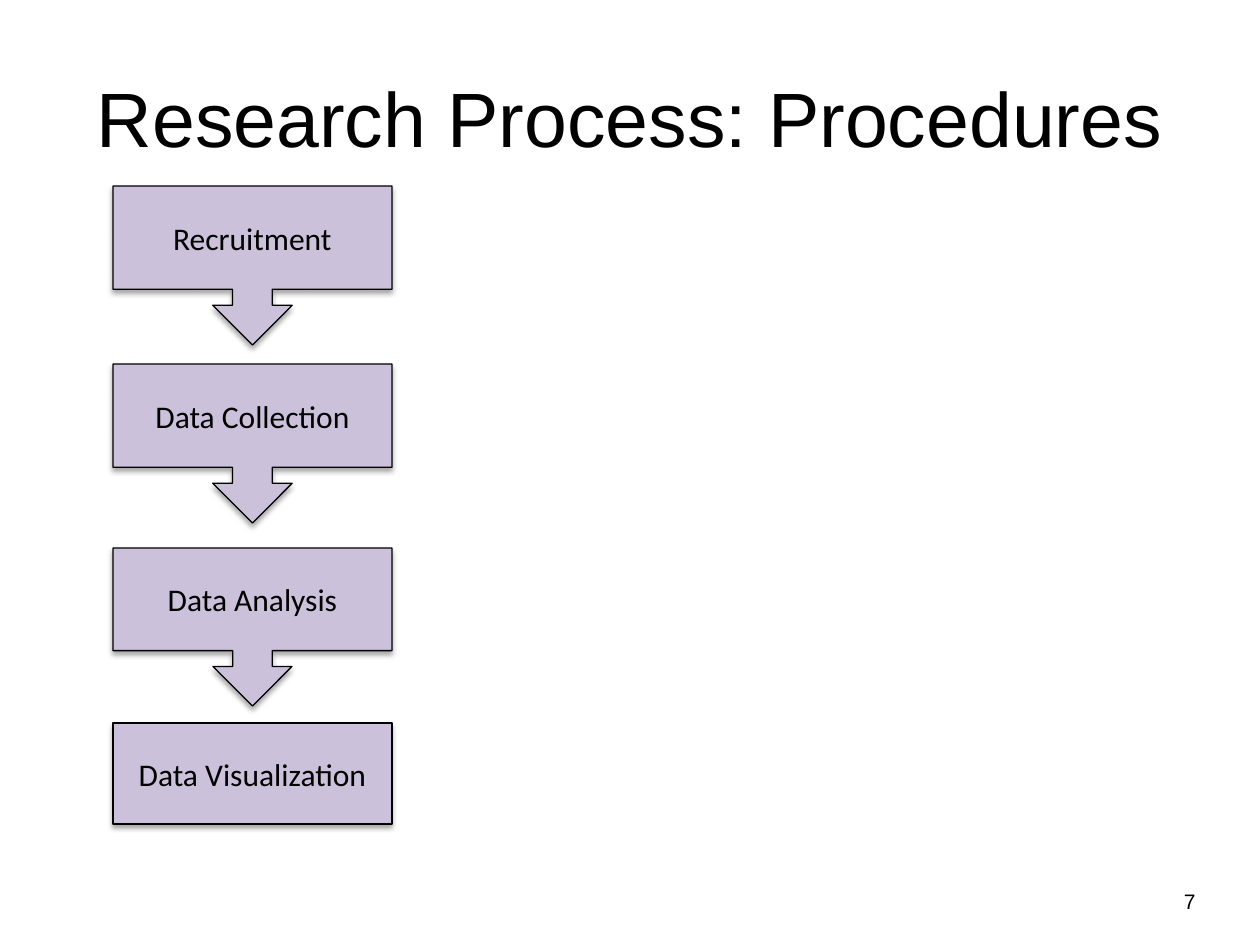
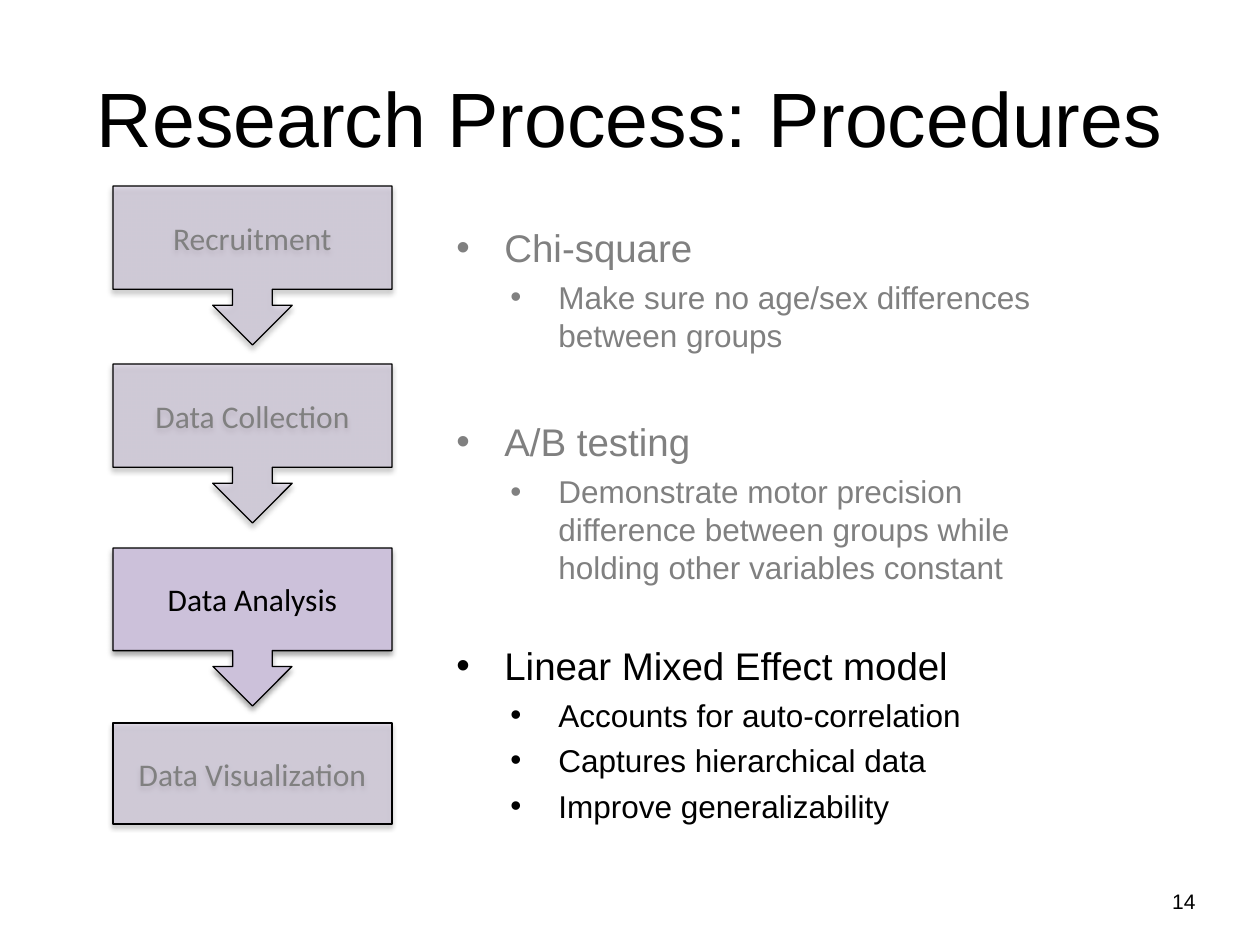
from dataclasses import dataclass
from pptx import Presentation
from pptx.dml.color import RGBColor as Rgb
from pptx.enum.shapes import MSO_SHAPE as Kind
from pptx.enum.text import MSO_ANCHOR as Anchor, MSO_AUTO_SIZE as Fit, PP_ALIGN as Align
from pptx.oxml.ns import qn
from pptx.util import Emu, Pt
from lxml.etree import SubElement as Sub


@dataclass(frozen=True)
class Theme:
    ink: str = "000000"
    dim: str = "808080"
    step: str = "CCC1DA"
    sans: str = "Arial"
    label: str = "Calibri"
    title: int = 44
    head: int = 22
    body: int = 18
    foot: int = 12


T = Theme()
TITLE = "Research Process: Procedures"
TITLE_BOX = (63, 38, 1134, 157)
FLOW_BOX = (113, 186, 279, 638)
LIST_BOX = (444, 218, 650, 606)
PAGE_BOX = (915, 876, 293, 50)

# Each step: label, offset from the top of the flow, height
STEPS = [("Recruitment", 0, 159), ("Data Collection", 178, 159),
         ("Data Analysis", 362, 158), ("Data Visualization", 537, 101)]

# Each topic: heading, points, space before the heading in pt, colour
TOPICS = [
    ("Chi-square", ["Make sure no age/sex differences between groups"], 4.4, T.dim),
    ("A/B testing", ["Demonstrate motor precision difference between groups "
                     "while holding other variables constant"], 37, T.dim),
    ("Linear Mixed Effect model", ["Accounts for auto-correlation",
                                   "Captures hierarchical data",
                                   "Improve generalizability"], 32, T.ink),
]


def px(n):
    return Emu(round(n * 914400 / 126))


def place(box):
    return [px(n) for n in box]


def style(para, font, size, color, align=Align.LEFT):
    para.alignment = align
    for run in para.runs:
        run.font.name, run.font.size = font, Pt(size)
        run.font.color.rgb = Rgb.from_string(color)


def write(shape, text, *look):
    frame = shape.text_frame
    frame.text = text
    frame.word_wrap = True
    frame.auto_size = Fit.NONE
    frame.vertical_anchor = Anchor.MIDDLE
    style(frame.paragraphs[0], *look)


def add_title(slide, box):
    title = slide.shapes.title
    title.left, title.top, title.width, title.height = place(box)
    write(title, TITLE, T.sans, T.title, T.ink, Align.CENTER)


def add_page(slide, box, num):
    note = slide.shapes.add_textbox(*place(box))
    write(note, str(num), T.sans, T.foot, T.ink, Align.RIGHT)


def add_shadow(shape):
    shape.shadow.inherit = False
    effects = shape._element.spPr.find(qn("a:effectLst"))
    drop = Sub(effects, qn("a:outerShdw"), blurRad=str(Pt(3.1)),
               dist=str(Pt(1.8)), dir="5400000", rotWithShape="0")
    tint = Sub(drop, qn("a:srgbClr"), val=T.ink)
    Sub(tint, qn("a:alpha"), val="35000")


def add_step(slide, box, kind, text, faded):
    shape = slide.shapes.add_shape(kind, *place(box))
    shape.fill.solid()
    shape.fill.fore_color.rgb = Rgb.from_string(T.step)
    if faded:
        tint = shape._element.spPr.find(qn("a:solidFill"))[0]
        Sub(tint, qn("a:alpha"), val="50000")
    shape.line.color.rgb = Rgb.from_string(T.ink)
    shape.line.width = Pt(0.75)
    add_shadow(shape)
    write(shape, text, T.label, T.body, T.dim if faded else T.ink, Align.CENTER)


def add_flow(slide, box, focus=None):
    """Stack the steps; with a focus, fade all the others."""
    left, top, width, _ = box
    last = STEPS[-1][0]
    for text, drop, high in STEPS:
        kind = Kind.RECTANGLE if text == last else Kind.DOWN_ARROW_CALLOUT
        faded = focus is not None and text != focus
        add_step(slide, (left, top + drop, width, high), kind, text, faded)


def add_bullet(para, text, level, size, color, gap):
    para.text = text
    para.level = level
    para.space_before = Pt(gap)
    style(para, T.sans, size, color)
    props = para._p.get_or_add_pPr()
    props.set("marL", str(px(102 if level else 48)))
    props.set("indent", str(px(-48)))
    Sub(props, qn("a:buFont"), typeface=T.sans)
    Sub(props, qn("a:buChar"), char="•")


def add_topics(slide, box):
    frame = slide.shapes.add_textbox(*place(box)).text_frame
    frame.word_wrap = True
    rows = []
    for head, points, gap, color in TOPICS:
        rows.append((head, 0, T.head, color, gap))
        rows += [(point, 1, T.body, color, 4.4) for point in points]
    for i, row in enumerate(rows):
        para = frame.add_paragraph() if i else frame.paragraphs[0]
        add_bullet(para, *row)


def add_slide(deck, num, focus=None):
    slide = deck.slides.add_slide(deck.slide_layouts[5])
    add_title(slide, TITLE_BOX)
    add_page(slide, PAGE_BOX, num)
    add_flow(slide, FLOW_BOX, focus)
    return slide


def main():
    deck = Presentation()
    deck.slide_width, deck.slide_height = px(1260), px(945)
    add_slide(deck, 7)
    detail = add_slide(deck, 14, "Data Analysis")
    add_topics(detail, LIST_BOX)
    deck.save("out.pptx")


if __name__ == "__main__":
    main()
